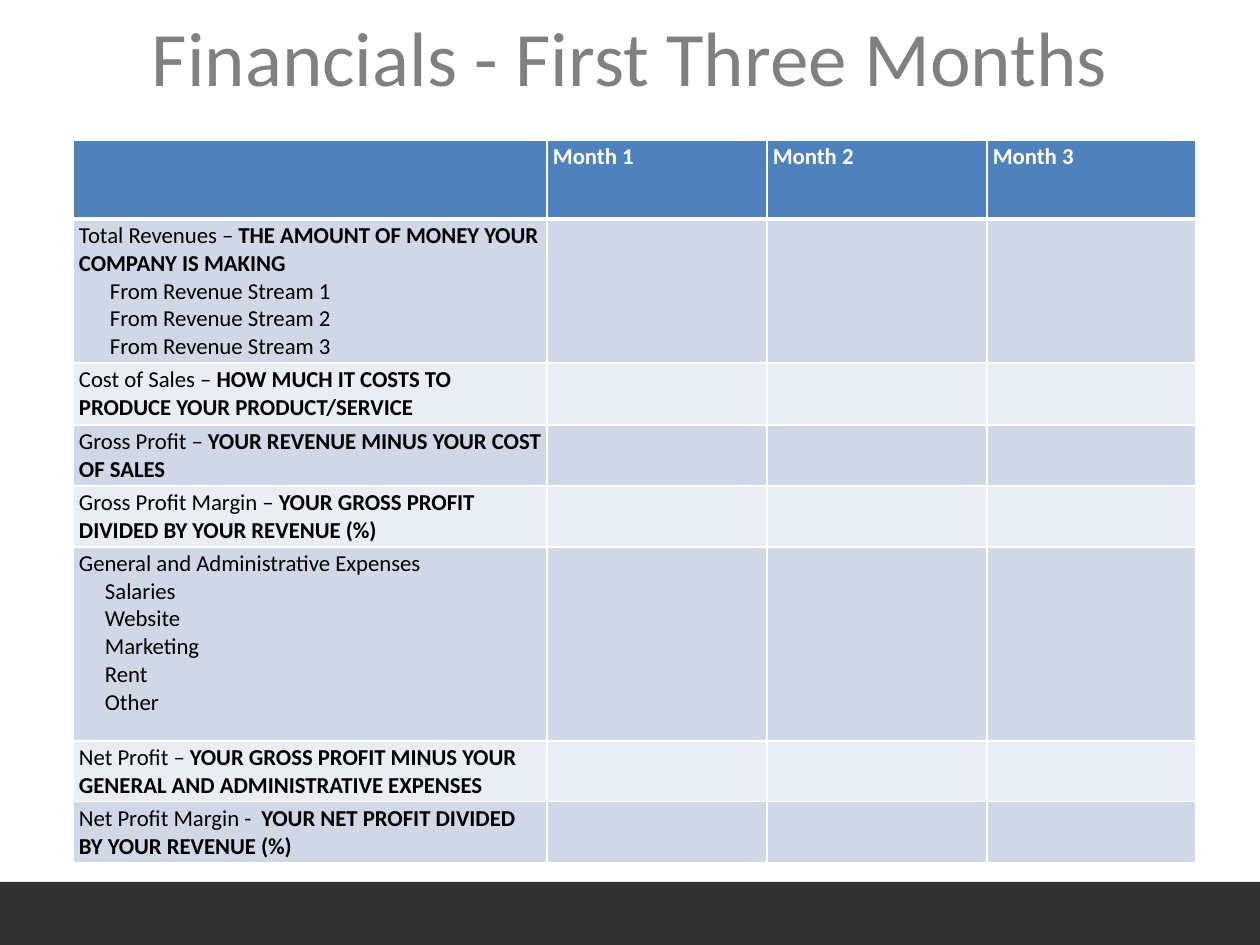
from lxml.etree import SubElement
from pptx import Presentation
from pptx.dml.color import RGBColor
from pptx.enum.shapes import MSO_SHAPE
from pptx.enum.text import MSO_ANCHOR, PP_ALIGN
from pptx.oxml.ns import qn
from pptx.util import Pt

PX = 914400 / 126
WHITE = RGBColor(0xFF, 0xFF, 0xFF)
BLACK = RGBColor(0x00, 0x00, 0x00)
GREY = RGBColor(0x80, 0x80, 0x80)
CHARCOAL = RGBColor(0x32, 0x32, 0x32)
BLUE = RGBColor(0x4F, 0x81, 0xBD)
BAND_DARK = RGBColor(0xD0, 0xD8, 0xE8)
BAND_LIGHT = RGBColor(0xE9, 0xED, 0xF4)

COLUMN_WIDTHS = [474, 220, 220, 209]
ROW_HEIGHTS = [79, 144, 62, 61, 61, 194, 61, 61]
HEADINGS = ["", "Month 1", "Month 2", "Month 3"]
STREAMS = [f"From Revenue Stream {number}" for number in (1, 2, 3)]
EXPENSES = ["Salaries", "Website", "Marketing", "Rent", "Other"]
ENTRIES = [
    ("Total Revenues – ", "THE AMOUNT OF MONEY YOUR COMPANY IS MAKING", STREAMS, 31),
    ("Cost of Sales – ", "HOW MUCH IT COSTS TO PRODUCE YOUR PRODUCT/SERVICE", [], 0),
    ("Gross Profit – ", "YOUR REVENUE MINUS YOUR COST OF SALES", [], 0),
    ("Gross Profit Margin – ", "YOUR GROSS PROFIT DIVIDED BY YOUR REVENUE (%)", [], 0),
    ("General and Administrative Expenses", "", EXPENSES, 26),
    ("Net Profit – ", "YOUR GROSS PROFIT MINUS YOUR GENERAL AND ADMINISTRATIVE EXPENSES", [], 0),
    ("Net Profit Margin -  ", "YOUR NET PROFIT DIVIDED BY YOUR REVENUE (%)", [], 0),
]


def px(length):
    """Turn a length in pixels into EMU."""
    return round(length * PX)


def add_span(para, text, size=13, color=BLACK, bold=False):
    """Append formatted text to a paragraph."""
    span = para.add_run()
    span.text = text
    span.font.name = "Calibri"
    span.font.size = Pt(size)
    span.font.color.rgb = color
    span.font.bold = bold


def style_cell(cell, color, bottom_width=1):
    """Give a cell its margins, white borders and fill."""
    cell.margin_left = cell.margin_right = px(6)
    cell.margin_top = cell.margin_bottom = px(3)
    properties = cell._tc.get_or_add_tcPr()
    for side in "LRTB":
        width = bottom_width if side == "B" else 1
        line = SubElement(properties, qn(f"a:ln{side}"), w=str(Pt(width)))
        paint = SubElement(line, qn("a:solidFill"))
        SubElement(paint, qn("a:srgbClr"), val=str(WHITE))
    cell.fill.solid()
    cell.fill.fore_color.rgb = color


def fill_entry(cell, label, meaning, items, indent):
    """Write a row label, its meaning and its indented items."""
    para = cell.text_frame.paragraphs[0]
    add_span(para, label)
    if meaning:
        add_span(para, meaning, bold=True)
    for item in items:
        para = cell.text_frame.add_paragraph()
        para._p.get_or_add_pPr().set("marL", str(px(indent)))
        add_span(para, item)


def add_footer(page, left, top, width, height):
    """Draw the dark band at the foot of the page."""
    band = page.shapes.add_shape(MSO_SHAPE.RECTANGLE, px(left), px(top), px(width), px(height))
    band.shadow.inherit = False
    band.fill.solid()
    band.fill.fore_color.rgb = CHARCOAL
    band.line.fill.background()


def add_title(page, left, top, width, height):
    """Place the centred page title."""
    box = page.shapes.add_textbox(px(left), px(top), px(width), px(height))
    frame = box.text_frame
    frame.word_wrap = True
    frame.vertical_anchor = MSO_ANCHOR.MIDDLE
    para = frame.paragraphs[0]
    para.alignment = PP_ALIGN.CENTER
    add_span(para, "Financials - First Three Months", size=44, color=GREY)


def add_financials(page, left, top):
    """Build the three-month financial table."""
    frame = page.shapes.add_table(
        len(ROW_HEIGHTS), len(COLUMN_WIDTHS), px(left), px(top),
        px(sum(COLUMN_WIDTHS)), px(sum(ROW_HEIGHTS)))
    table = frame.table
    for column, width in zip(table.columns, COLUMN_WIDTHS):
        column.width = px(width)
    for index, (row, height) in enumerate(zip(table.rows, ROW_HEIGHTS)):
        row.height = px(height)
        band = BAND_DARK if index % 2 else BAND_LIGHT
        for cell in row.cells:
            style_cell(cell, band if index else BLUE, 1 if index else 3)
    for cell, heading in zip(table.rows[0].cells, HEADINGS):
        if heading:
            add_span(cell.text_frame.paragraphs[0], heading, color=WHITE, bold=True)
    for index, entry in enumerate(ENTRIES, start=1):
        fill_entry(table.cell(index, 0), *entry)


def main():
    """Build and save the deck."""
    deck = Presentation()
    deck.slide_width, deck.slide_height = px(1260), px(945)
    page = deck.slides.add_slide(deck.slide_layouts[6])
    add_footer(page, 0, 882, 1260, 63)
    add_title(page, 63, -23, 1134, 158)
    add_financials(page, 73, 140)
    deck.save("out.pptx")


if __name__ == "__main__":
    main()
